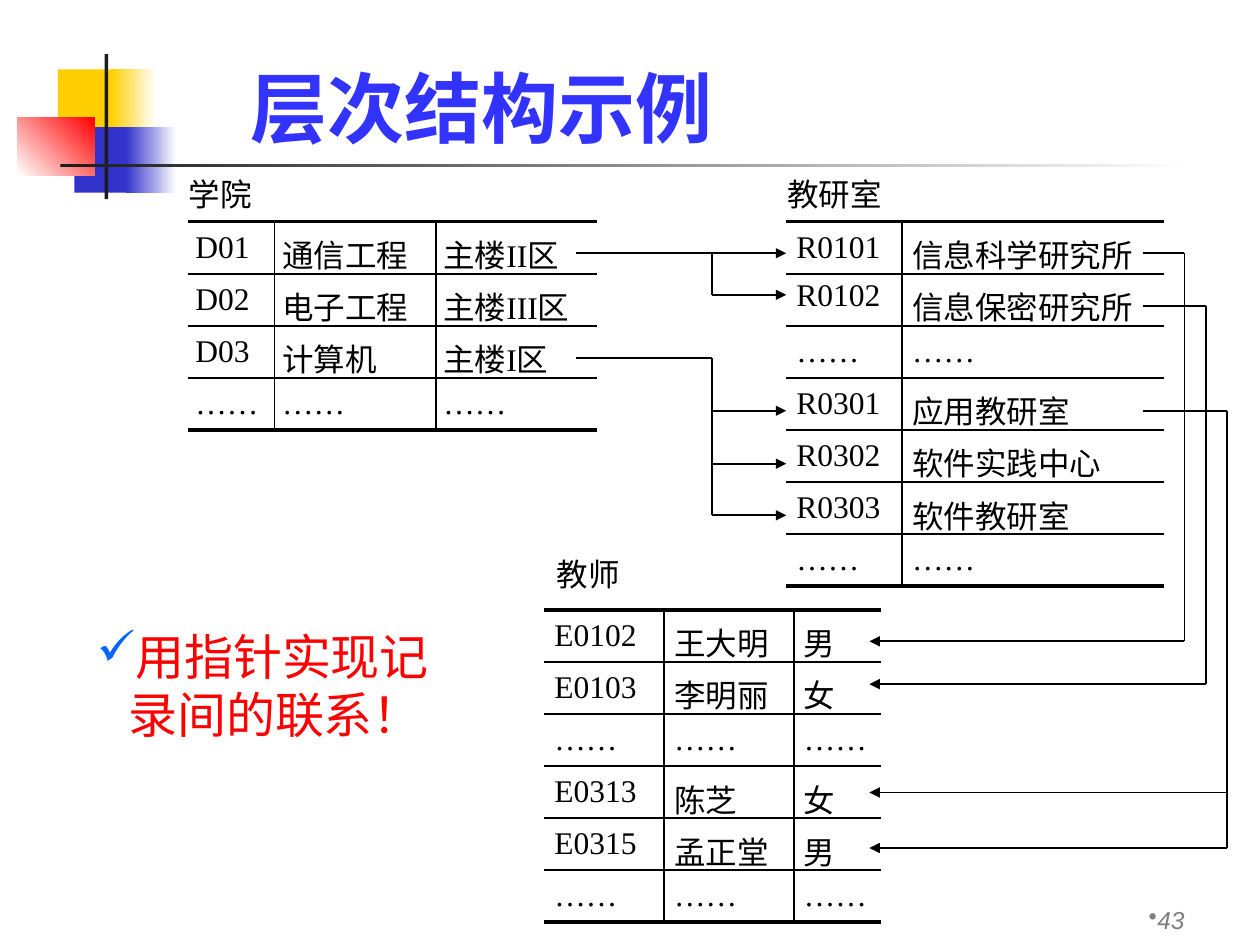
from lxml.etree import SubElement
from pptx import Presentation
from pptx.dml.color import RGBColor
from pptx.enum.shapes import MSO_CONNECTOR, MSO_SHAPE
from pptx.enum.text import MSO_ANCHOR, MSO_AUTO_SIZE, PP_ALIGN
from pptx.oxml.ns import qn
from pptx.util import Inches, Pt

BLACK = RGBColor(0x00, 0x00, 0x00)
WHITE = RGBColor(0xFF, 0xFF, 0xFF)
CHARCOAL = RGBColor(0x1C, 0x1C, 0x1C)
GRAY = RGBColor(0x80, 0x80, 0x80)
YELLOW = RGBColor(0xFF, 0xCF, 0x01)
NAVY = RGBColor(0x33, 0x33, 0xCC)
RED = RGBColor(0xFF, 0x00, 0x00)
TITLE_BLUE = RGBColor(0x33, 0x33, 0xFF)
CHECK_BLUE = RGBColor(0x00, 0x66, 0xFF)

ROW_HEIGHT = 0.413
DOTS = "……"

COLLEGES = [
    ("D01", "通信工程", "主楼II区"),
    ("D02", "电子工程", "主楼III区"),
    ("D03", "计算机", "主楼I区"),
    (DOTS, DOTS, DOTS),
]
OFFICES = [
    ("R0101", "信息科学研究所"),
    ("R0102", "信息保密研究所"),
    (DOTS, DOTS),
    ("R0301", "应用教研室"),
    ("R0302", "软件实践中心"),
    ("R0303", "软件教研室"),
    (DOTS, DOTS),
]
TEACHERS = [
    ("E0102", "王大明", "男"),
    ("E0103", "李明丽", "女"),
    (DOTS, DOTS, DOTS),
    ("E0313", "陈芝", "女"),
    ("E0315", "孟正堂", "男"),
    (DOTS, DOTS, DOTS),
]


class SlideBuilder:
    title_format = {"name": "Noto Sans CJK SC", "size": Pt(44), "bold": True}
    label_format = {"name": "Arial", "size": Pt(18)}
    cell_format = {"name": "Times New Roman", "size": Pt(18)}
    note_format = {"name": "Lato", "size": Pt(28)}
    number_format = {"name": "Arial", "size": Pt(14), "italic": True}

    def __init__(self, slide):
        self.slide = slide

    def style(self, paragraph, values, color):
        for name, value in values.items():
            setattr(paragraph.font, name, value)
        paragraph.font.color.rgb = color

    def bullet(self, paragraph, character, indent=0.0, color=None):
        properties = paragraph._p.get_or_add_pPr()
        properties.set("marL", str(Inches(indent)))
        properties.set("indent", str(-Inches(indent)))
        if color is not None:
            bullet_color = SubElement(properties, qn("a:buClr"))
            SubElement(bullet_color, qn("a:srgbClr")).set("val", str(color))
        SubElement(properties, qn("a:buChar")).set("char", character)

    def title(self, text, left, top, width, height):
        shape = self.slide.shapes.title
        shape.left, shape.top = Inches(left), Inches(top)
        shape.width, shape.height = Inches(width), Inches(height)
        frame = shape.text_frame
        frame.text = text
        frame.vertical_anchor = MSO_ANCHOR.MIDDLE
        frame.auto_size = MSO_AUTO_SIZE.NONE
        frame.paragraphs[0].alignment = PP_ALIGN.LEFT
        self.style(frame.paragraphs[0], self.title_format, TITLE_BLUE)

    def block(self, left, top, width, height, start, end=None, angle=0):
        shape = self.slide.shapes.add_shape(
            MSO_SHAPE.RECTANGLE, Inches(left), Inches(top), Inches(width), Inches(height))
        shape.shadow.inherit = False
        shape.line.fill.background()
        if end is None:
            shape.fill.solid()
            shape.fill.fore_color.rgb = start
            return
        shape.fill.gradient()
        shape.fill.gradient_angle = angle
        for stop, color in zip(shape.fill.gradient_stops, (start, end)):
            stop.color.rgb = color

    def text(self, text, left, top, width, height, values, color, wrap=False):
        shape = self.slide.shapes.add_textbox(
            Inches(left), Inches(top), Inches(width), Inches(height))
        frame = shape.text_frame
        frame.word_wrap = wrap
        paragraph = frame.paragraphs[0]
        paragraph.text = text
        return frame, paragraph, values, color

    def label(self, text, left, top, width):
        frame, *styling = self.text(
            text, left, top, width, 0.4, self.label_format, BLACK)
        self.style(*styling)

    def note(self, text, left, top, width, height):
        frame, paragraph, *styling = self.text(
            text, left, top, width, height, self.note_format, RED, wrap=True)
        self.bullet(paragraph, "✓", 0.25, CHECK_BLUE)
        self.style(paragraph, *styling)

    def slide_number(self, text, left, top, width, height):
        frame, paragraph, *styling = self.text(
            text, left, top, width, height, self.number_format, GRAY)
        frame.vertical_anchor = MSO_ANCHOR.BOTTOM
        frame.margin_top = frame.margin_bottom = 0
        paragraph.alignment = PP_ALIGN.RIGHT
        self.bullet(paragraph, "•")
        self.style(paragraph, *styling)

    def borders(self, cell, widths):
        properties = cell._tc.get_or_add_tcPr()
        for side, width in zip("LRTB", widths):
            line = SubElement(properties, qn(f"a:ln{side}"))
            line.set("w", str(Pt(width)))
            if width:
                fill = SubElement(line, qn("a:solidFill"))
                SubElement(fill, qn("a:srgbClr")).set("val", str(BLACK))
            else:
                SubElement(line, qn("a:noFill"))

    def table(self, rows, left, top, column_widths, margin):
        last_row, last_column = len(rows) - 1, len(column_widths) - 1
        table = self.slide.shapes.add_table(
            len(rows), len(column_widths), Inches(left), Inches(top),
            Inches(sum(column_widths)), Inches(ROW_HEIGHT * len(rows))).table
        table.first_row = table.horz_banding = False
        for column, width in zip(table.columns, column_widths):
            column.width = Inches(width)
        for row_index, row in enumerate(rows):
            table.rows[row_index].height = Inches(ROW_HEIGHT)
            for column_index, text in enumerate(row):
                cell = table.cell(row_index, column_index)
                self.borders(cell, (
                    1 if column_index else 0,
                    1 if column_index < last_column else 0,
                    1 if row_index else 2.25,
                    1 if row_index < last_row else 2.25))
                cell.fill.background()
                cell.margin_left = cell.margin_right = Inches(margin)
                cell.margin_top = cell.margin_bottom = Inches(0.04)
                paragraph = cell.text_frame.paragraphs[0]
                paragraph.text = text
                paragraph.line_spacing = 1.0 if text == "R0102" else 1.1
                self.style(paragraph, self.cell_format, BLACK)

    def line(self, start_x, start_y, end_x, end_y, arrow=False):
        connector = self.slide.shapes.add_connector(
            MSO_CONNECTOR.STRAIGHT, Inches(start_x), Inches(start_y),
            Inches(end_x), Inches(end_y))
        connector.line.color.rgb = BLACK
        connector.line.width = Pt(1)
        if arrow:
            tail = SubElement(connector.line._get_or_add_ln(), qn("a:tailEnd"))
            tail.set("type", "triangle")
        SubElement(connector._element.spPr, qn("a:effectLst"))

    def pointer(self, start_x, start_y, trunk_x, end_x, targets):
        self.line(start_x, start_y, trunk_x, start_y)
        self.line(trunk_x, start_y, trunk_x, targets[-1])
        for target in targets:
            self.line(trunk_x, target, end_x, target, arrow=True)


def main():
    presentation = Presentation()
    presentation.slide_width, presentation.slide_height = Inches(10), Inches(7.5)
    builder = SlideBuilder(presentation.slides.add_slide(presentation.slide_layouts[5]))

    builder.block(0.46, 0.55, 0.48, 0.52, YELLOW)
    builder.block(0.88, 0.55, 0.36, 0.52, YELLOW, WHITE)
    builder.block(0.59, 1.01, 0.46, 0.52, NAVY)
    builder.block(1, 1.01, 0.4, 0.52, NAVY, WHITE)
    builder.block(0.14, 0.93, 0.61, 0.46, WHITE, RED, 45)
    builder.block(0.83, 0.43, 0.03, 1.15, CHARCOAL)
    builder.block(0.48, 1.3, 9, 0.03, CHARCOAL, WHITE)
    builder.slide_number("43", 7.42, 6.92, 2.08, 0.5)
    builder.title("层次结构示例", 1.89, 0.42, 7.38, 0.86)

    builder.label("学院", 1.4, 1.34, 0.7)
    builder.table(COLLEGES, 1.49, 1.76, (0.69, 1.28, 1.28), 0.06)
    builder.label("教研室", 6.15, 1.34, 0.96)
    builder.table(OFFICES, 6.24, 1.76, (0.92, 2.08), 0.08)
    builder.label("教师", 4.32, 4.36, 0.7)
    builder.table(TEACHERS, 4.32, 4.84, (0.95, 1.03, 0.69), 0.08)

    for start_y, targets in ((2.01, (2.01, 2.34)), (2.84, (3.26, 3.68, 4.09))):
        builder.pointer(4.57, start_y, 5.65, 6.24, targets)
    for start_y, trunk_x, targets in (
            (2.01, 9.4, (5.09,)), (2.43, 9.57, (5.43,)), (3.26, 9.74, (6.29, 6.73))):
        builder.pointer(9.07, start_y, trunk_x, 6.9, targets)

    builder.note("用指针实现记录间的联系！", 0.67, 4.92, 3, 1.17)
    presentation.save("out.pptx")


if __name__ == "__main__":
    main()
